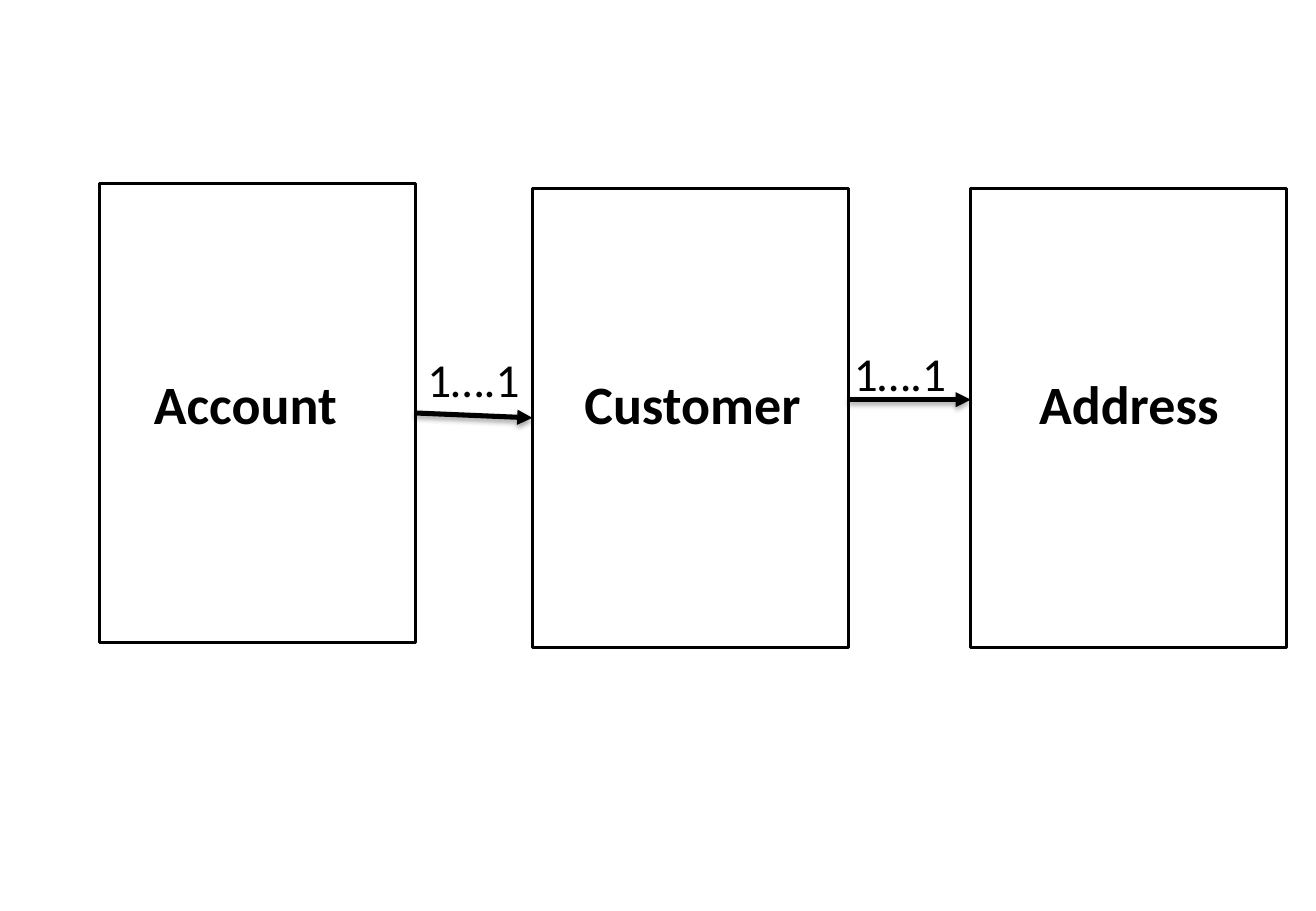
from lxml import etree
from pptx import Presentation
from pptx.dml.color import RGBColor
from pptx.enum.shapes import MSO_AUTO_SHAPE_TYPE, MSO_CONNECTOR
from pptx.enum.text import MSO_AUTO_SIZE, PP_ALIGN
from pptx.oxml import parse_xml
from pptx.oxml.ns import qn
from pptx.util import Pt

RECT = MSO_AUTO_SHAPE_TYPE.RECTANGLE
STRAIGHT = MSO_CONNECTOR.STRAIGHT
LEFT, CENTER = PP_ALIGN.LEFT, PP_ALIGN.CENTER
GROW = MSO_AUTO_SIZE.SHAPE_TO_FIT_TEXT
COLORS = {"ink": "000000", "paper": "FFFFFF"}
FONT = "Calibri"
BOX_W, BOX_H = 187.2, 272.2
NAME_TOP, NAME_H = 216, 46
RATIO_W, RATIO_H = 80, 41.2
SHADOW = f"""
<a:effectLst xmlns:a="http://schemas.openxmlformats.org/drawingml/2006/main">
  <a:outerShdw blurRad="{Pt(3.1)}" dist="{Pt(1.8)}" dir="5400000" rotWithShape="0">
    <a:srgbClr val="{COLORS['ink']}"><a:alpha val="35000"/></a:srgbClr>
  </a:outerShdw>
</a:effectLst>"""


def color(name):
    return RGBColor.from_string(COLORS[name])


def add_box(slide, left, top):
    box = slide.shapes.add_shape(RECT, Pt(left), Pt(top), Pt(BOX_W), Pt(BOX_H))
    box.shadow.inherit = False
    box.fill.solid()
    box.fill.fore_color.rgb = color("paper")
    box.line.color.rgb = color("ink")
    box.line.width = Pt(2)


def add_label(slide, text, left, top, width, height, size, bold=False, align=LEFT):
    label = slide.shapes.add_textbox(Pt(left), Pt(top), Pt(width), Pt(height))
    frame = label.text_frame
    frame.word_wrap = True
    frame.auto_size = GROW
    para = frame.paragraphs[0]
    para.text = text
    para.alignment = align
    para.font.name = FONT
    para.font.size = Pt(size)
    para.font.bold = bold
    para.font.color.rgb = color("ink")


def add_arrow(slide, x1, y1, x2, y2):
    arrow = slide.shapes.add_connector(STRAIGHT, Pt(x1), Pt(y1), Pt(x2), Pt(y2))
    arrow.line.color.rgb = color("ink")
    arrow.line.width = Pt(3)
    etree.SubElement(arrow.line._ln, qn("a:tailEnd"), type="triangle")
    arrow._element.spPr.append(parse_xml(SHADOW))


def main():
    deck = Presentation()
    deck.slide_width, deck.slide_height = Pt(780), Pt(540)
    slide = deck.slides.add_slide(deck.slide_layouts[6])

    # Entity boxes
    for left, top in ((59, 108.7), (315.6, 111.6), (575.4, 111.6)):
        add_box(slide, left, top)

    # Entity names
    for name, left, width, align in (
        ("Account", 84.2, 130.3, LEFT),
        ("Customer", 332, 157, CENTER),
        ("Address", 604, 130.3, CENTER),
    ):
        add_label(slide, name, left, NAME_TOP, width, NAME_H, 32, True, align)

    # Relations between neighbours
    add_arrow(slide, 246.2, 244.8, 315.6, 247.7)
    add_arrow(slide, 502.8, 236.9, 575.4, 236.9)

    # Ratios above the arrows
    for left, top in ((246.2, 204), (499, 200.8)):
        add_label(slide, "1\u2026.1", left, top, RATIO_W, RATIO_H, 28)

    deck.save("out.pptx")


main()
